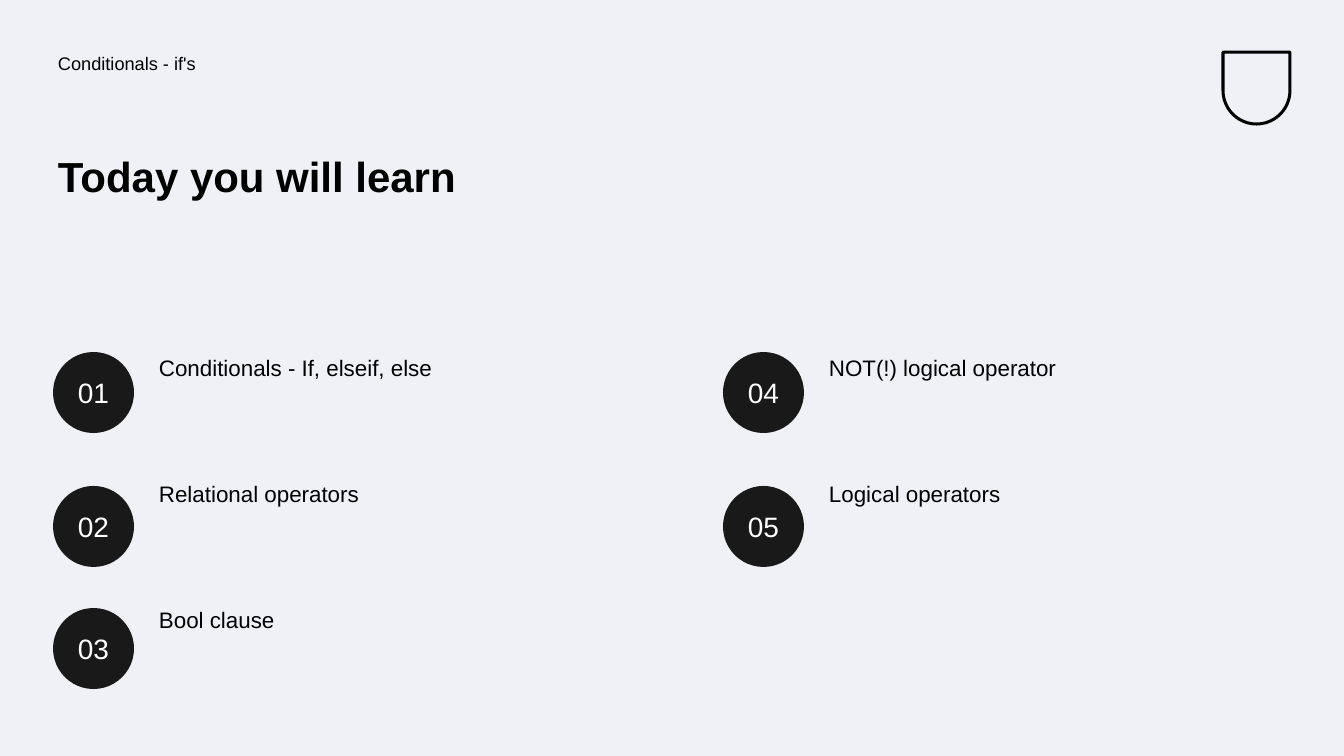
"""Build the agenda slide for a lesson on conditionals."""
import pptx
import pptx.dml.color
import pptx.enum.shapes
import pptx.enum.text
import pptx.util

HEADER = "Conditionals - if's"
TITLE = "Today you will learn"
TOPICS = [
    "Conditionals - If, elseif, else",
    "Relational operators",
    "Bool clause",
    "NOT(!) logical operator",
    "Logical operators",
]

COLORS = {"background": "F0F1F6", "ink": "000000", "circle": "191919", "number": "FEFFFF"}
FORMATS = {
    "header": {"size": 13, "color": "ink", "bold": False},
    "title": {"size": 30, "color": "ink", "bold": True},
    "topic": {"size": 16, "color": "ink", "bold": False},
    "number": {"size": 20, "color": "number", "bold": False},
}
FONT = "Arial"
EMU_PER_PX = 914400 / 100.8
SLIDE_SIZE = (1344, 756)
HEADER_BOX = (53, 50, 619, 50)
TITLE_BOX = (53, 151, 569, 150)
EMBLEM_BOX = (1223, 52, 67, 72)
CIRCLE_SIZE = 81
CIRCLE_LEFT = 53
CIRCLE_TOPS = [352, 486, 608]
TOPIC_LEFT, TOPIC_TOP, TOPIC_PITCH = 154, 352, 126
TOPIC_SIZE = (467, 100)
COLUMN_PITCH = 670
INSET = 5


def px(length):
    return pptx.util.Emu(round(length * EMU_PER_PX))


def rgb(name):
    return pptx.dml.color.RGBColor.from_string(COLORS[name])


def write(shape, text, style, line_spacing=0.9):
    frame = shape.text_frame
    frame.word_wrap = True
    for side in ("left", "right", "top", "bottom"):
        setattr(frame, f"margin_{side}", px(INSET))
    paragraph = frame.paragraphs[0]
    paragraph.line_spacing = line_spacing
    run = paragraph.add_run()
    run.text = text
    look = FORMATS[style]
    values = {"name": FONT, "size": pptx.util.Pt(look["size"]), "bold": look["bold"]}
    for attribute, value in values.items():
        setattr(run.font, attribute, value)
    run.font.color.rgb = rgb(look["color"])


def add_text(slide, box, text, style):
    write(slide.shapes.add_textbox(*map(px, box)), text, style)


def add_number(slide, left, top, number):
    box = (left, top, CIRCLE_SIZE, CIRCLE_SIZE)
    circle = slide.shapes.add_shape(pptx.enum.shapes.MSO_SHAPE.OVAL, *map(px, box))
    circle.shadow.inherit = False
    circle.fill.solid()
    circle.fill.fore_color.rgb = rgb("circle")
    circle.line.fill.background()
    write(circle, f"{number:02d}", "number", 1.0)
    circle.text_frame.vertical_anchor = pptx.enum.text.MSO_ANCHOR.MIDDLE
    circle.text_frame.paragraphs[0].alignment = pptx.enum.text.PP_ALIGN.CENTER


def add_emblem(slide):
    emblem = slide.shapes.add_shape(
        pptx.enum.shapes.MSO_SHAPE.ROUND_2_SAME_RECTANGLE, *map(px, EMBLEM_BOX)
    )
    emblem.rotation = 180
    emblem.adjustments[0] = 0.5
    emblem.shadow.inherit = False
    emblem.fill.background()
    emblem.line.color.rgb = rgb("ink")
    emblem.line.width = px(3)


def main():
    presentation = pptx.Presentation()
    presentation.slide_width, presentation.slide_height = map(px, SLIDE_SIZE)
    slide = presentation.slides.add_slide(presentation.slide_layouts[6])
    slide.background.fill.solid()
    slide.background.fill.fore_color.rgb = rgb("background")

    add_emblem(slide)
    add_text(slide, HEADER_BOX, HEADER, "header")
    add_text(slide, TITLE_BOX, TITLE, "title")
    for index, topic in enumerate(TOPICS):
        column, row = divmod(index, len(CIRCLE_TOPS))
        shift = column * COLUMN_PITCH
        add_number(slide, CIRCLE_LEFT + shift, CIRCLE_TOPS[row], index + 1)
        topic_box = (TOPIC_LEFT + shift, TOPIC_TOP + row * TOPIC_PITCH, *TOPIC_SIZE)
        add_text(slide, topic_box, topic, "topic")

    presentation.save("out.pptx")


if __name__ == "__main__":
    main()
